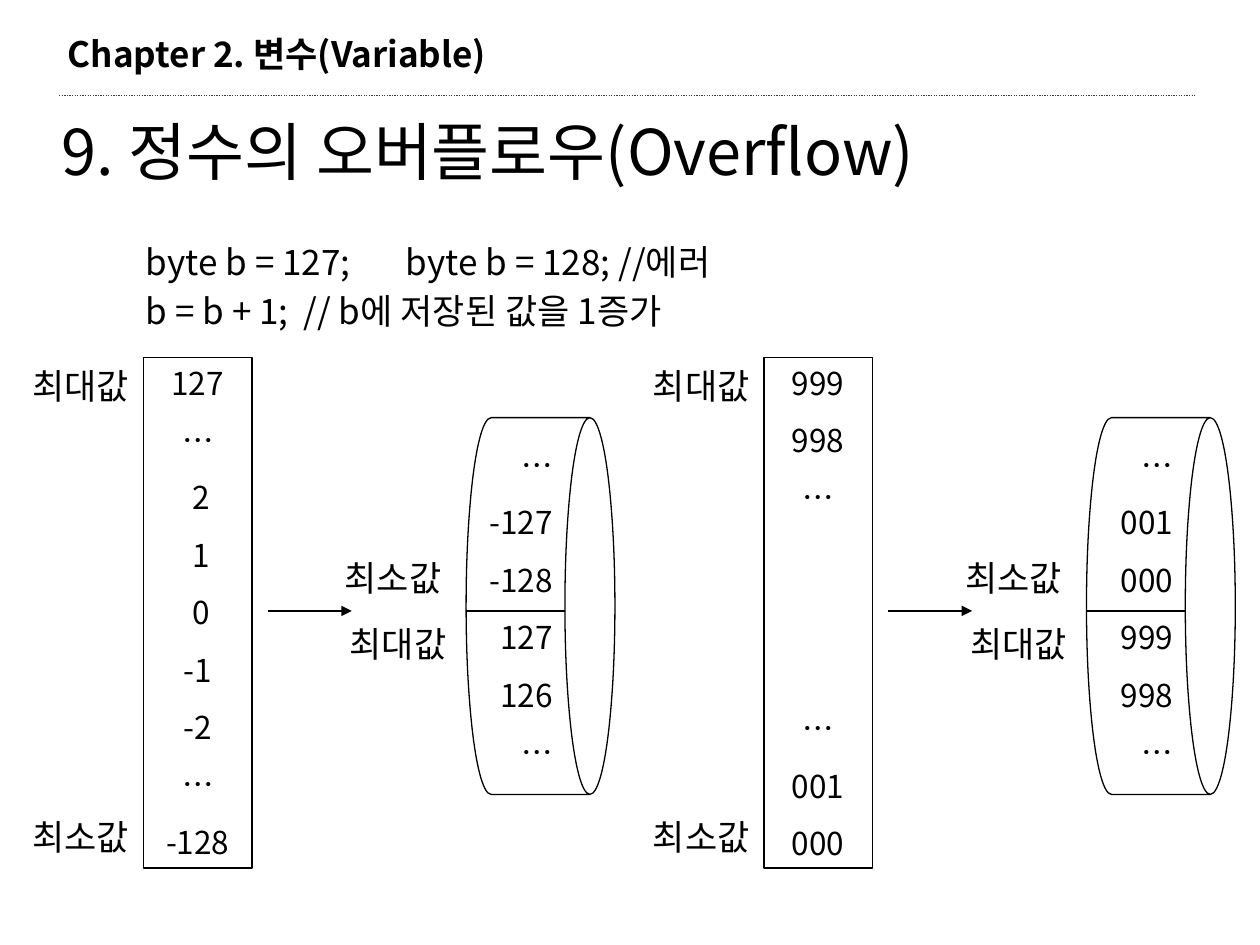
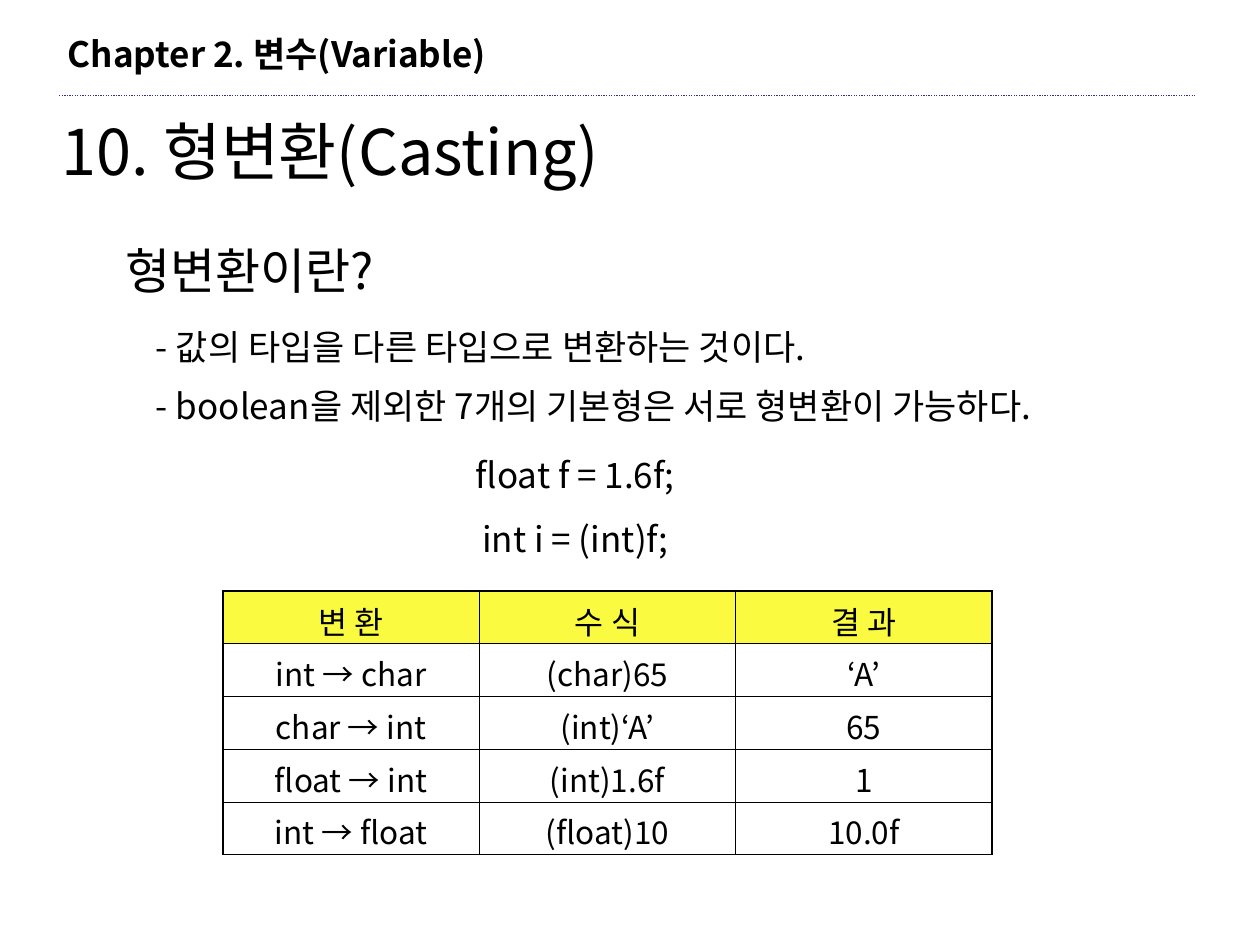
from lxml.etree import SubElement
from pptx import Presentation
from pptx.dml.color import RGBColor
from pptx.enum.dml import MSO_LINE
from pptx.enum.shapes import MSO_CONNECTOR, MSO_SHAPE
from pptx.enum.text import MSO_ANCHOR, PP_ALIGN
from pptx.oxml import parse_xml
from pptx.oxml.ns import nsdecls, qn
from pptx.util import Pt

FONT = "Noto Sans CJK KR"
BLACK = "000000"
HEADER_YELLOW = "FAFA40"
RULE_BLUE = "2F2F98"
ROW_PITCH = 33
ROW_GAP = 11.2
THICK, THIN = 1.08, 0.45


def color(hex_string):
    return RGBColor.from_string(hex_string)


def style_paragraph(paragraph, size, align, space_before, bold=False, tab_stop=None):
    paragraph.alignment = align
    paragraph.space_before = Pt(space_before)
    font = paragraph.font
    font.name = FONT
    font.size = Pt(size)
    font.bold = bold
    font.color.rgb = color(BLACK)
    defaults = paragraph._p.get_or_add_pPr().get_or_add_defRPr()
    SubElement(defaults, qn("a:ea")).set("typeface", FONT)
    if tab_stop:
        defaults.addprevious(parse_xml(
            f'<a:tabLst {nsdecls("a")}><a:tab pos="{Pt(tab_stop)}" algn="l"/></a:tabLst>'))


def fill_text(frame, lines, size, align=PP_ALIGN.LEFT, gap=None, **style):
    """Write one paragraph per line; None leaves an empty row before the next line."""
    gap = size * 0.625 if gap is None else gap
    frame.word_wrap = True
    frame.vertical_anchor = MSO_ANCHOR.TOP
    space_before = gap
    paragraph = None
    for line in lines:
        if line is None:
            space_before += ROW_PITCH
            continue
        paragraph = frame.add_paragraph() if paragraph else frame.paragraphs[0]
        paragraph.text = line
        style_paragraph(paragraph, size, align, space_before, **style)
        space_before = gap


def add_text(slide, left, top, width, height, lines, size=20, **style):
    box = slide.shapes.add_textbox(Pt(left), Pt(top), Pt(width), Pt(height))
    fill_text(box.text_frame, lines, size, **style)


def add_outline(slide, kind, left, top, width, height):
    shape = slide.shapes.add_shape(kind, Pt(left), Pt(top), Pt(width), Pt(height))
    shape.shadow.inherit = False
    shape.fill.background()
    shape.line.color.rgb = color(BLACK)
    shape.line.width = Pt(0.75)
    return shape


def add_line(slide, left, right, y, width=0.75, hex_color=BLACK, dash=None, arrow=False):
    line = slide.shapes.add_connector(
        MSO_CONNECTOR.STRAIGHT, Pt(left), Pt(y), Pt(right), Pt(y))
    line.line.color.rgb = color(hex_color)
    line.line.width = Pt(width)
    if dash:
        line.line.dash_style = dash
    if arrow:
        SubElement(line.line._get_or_add_ln(), qn("a:tailEnd")).set("type", "triangle")
    SubElement(line._element.spPr, qn("a:effectLst"))


def add_chapter_slide(presentation, title):
    slide = presentation.slides.add_slide(presentation.slide_layouts[6])
    add_line(slide, 33.8, 683.3, 54.7, hex_color=RULE_BLUE, dash=MSO_LINE.ROUND_DOT)
    add_text(slide, 31.7, 15.1, 300, 31.7, ["Chapter 2. 변수(Variable)"], bold=True)
    add_text(slide, 28.1, 60.5, 592.5, 50.4, [title], size=36)
    return slide


def add_overflow_diagram(slide, left, column_values, ring_values):
    """Draw a column of values and the ring made by joining its two ends."""
    column = add_outline(slide, MSO_SHAPE.RECTANGLE, left + 82, 204.3, 62, 291.8)
    fill_text(column.text_frame, column_values, 18, align=PP_ALIGN.CENTER, gap=ROW_GAP)

    ring = add_outline(slide, MSO_SHAPE.CAN, left + 201.2, 303.8, 215.3, 85)
    ring.rotation = 90
    ring.adjustments[0] = 0.336
    add_text(slide, left + 249.6, 251.3, 73.4, 193, ring_values, size=18,
             align=PP_ALIGN.RIGHT, gap=ROW_GAP)

    for x, y, label in [(11.5, 204.5, "최대값"), (11.5, 462.2, "최소값"),
                        (189.9, 314.6, "최소값"), (192.8, 352.1, "최대값")]:
        add_text(slide, left + x, y, 79.2, 31.7, [label])

    add_line(slide, left + 266.5, left + 323, 349.1)
    add_line(slide, left + 153, left + 201, 349.1, width=1, arrow=True)


def set_border(cell, position, side, width):
    cell._tc.get_or_add_tcPr().insert(position, parse_xml(
        f'<a:{side} {nsdecls("a")} w="{Pt(width)}"><a:solidFill>'
        f'<a:srgbClr val="{BLACK}"/></a:solidFill></a:{side}>'))


def add_casting_table(slide, rows):
    row_count, column_count = len(rows), len(rows[0])
    frame = slide.shapes.add_table(row_count, column_count, Pt(127.4), Pt(337.8),
                                   Pt(439.5), Pt(30.12 * row_count))
    table = frame.table
    table.first_row = table.horz_banding = False
    for r, row in enumerate(rows):
        for c, text in enumerate(row):
            cell = table.cell(r, c)
            if r == 0:
                cell.fill.solid()
                cell.fill.fore_color.rgb = color(HEADER_YELLOW)
            else:
                cell.fill.background()
            fill_text(cell.text_frame, [text], 18, align=PP_ALIGN.CENTER, gap=4.5)
            outer_sides = [("lnL", c == 0), ("lnR", c == column_count - 1),
                           ("lnT", r == 0), ("lnB", r == row_count - 1)]
            for position, (side, is_outer) in enumerate(outer_sides):
                set_border(cell, position, side, THICK if is_outer else THIN)


def build_overflow_slide(presentation):
    slide = add_chapter_slide(presentation, "9. 정수의 오버플로우(Overflow)")
    add_text(slide, 76.3, 133.9, 445, 31.7,
             ["byte b = 127;\tbyte b = 128; //에러"], tab_stop=148.5)
    add_text(slide, 76.3, 162, 439, 31.7,
             ["b = b + 1;\t// b에 저장된 값을 1증가"], tab_stop=90)
    add_overflow_diagram(
        slide, 0,
        ["127", "…", " 2", " 1", " 0", "-1", "-2", "…", "-128"],
        ["…", "-127", "-128", "127", "126", "…"])
    add_overflow_diagram(
        slide, 354.5,
        ["999", "998", "…", None, None, None, "…", "001", "000"],
        ["…", "001", "000", "999", "998", "…"])


def build_casting_slide(presentation):
    slide = add_chapter_slide(presentation, "10. 형변환(Casting)")
    add_text(slide, 64.8, 133.9, 187.2, 41, ["형변환이란?"], size=28)
    add_text(slide, 82, 182.2, 635, 31.7, ["- 값의 타입을 다른 타입으로 변환하는 것이다."])
    add_text(slide, 82, 216, 610, 31.7,
             ["- boolean을 제외한 7개의 기본형은 서로 형변환이 가능하다."])
    add_text(slide, 124.6, 255.6, 408.2, 67.7, ["float f = 1.6f;", "int i = (int)f;"],
             align=PP_ALIGN.CENTER)
    add_casting_table(slide, [
        ["변 환", "수 식", "결 과"],
        ["int → char", "(char)65", "‘A’"],
        ["char → int", "(int)‘A’", "65"],
        ["float → int", "(int)1.6f", "1"],
        ["int → float", "(float)10", "10.0f"],
    ])


def main():
    presentation = Presentation()
    presentation.slide_width = Pt(720)
    presentation.slide_height = Pt(540)
    build_overflow_slide(presentation)
    build_casting_slide(presentation)
    presentation.save("out.pptx")


if __name__ == "__main__":
    main()
